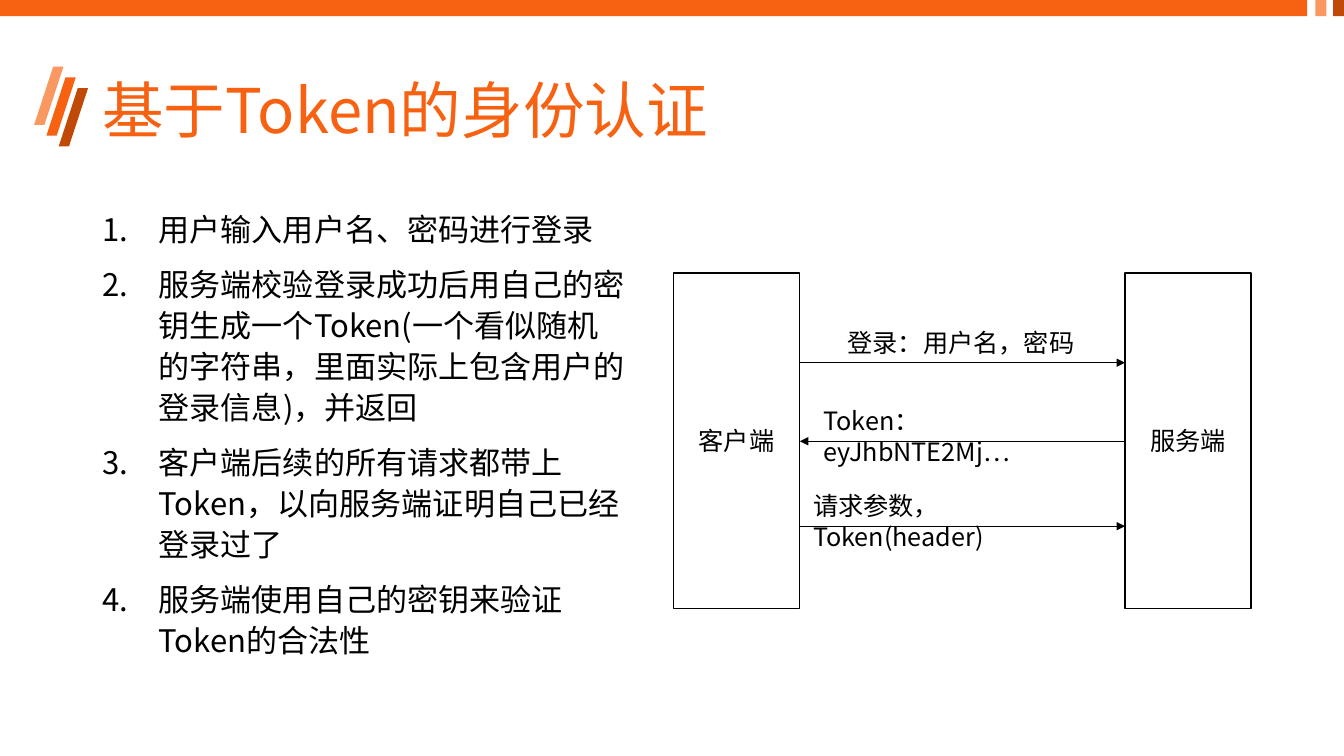
"""Build the slide on token-based identity authentication."""
from dataclasses import dataclass

from lxml import etree
from pptx import Presentation
from pptx.dml.color import RGBColor
from pptx.enum.shapes import MSO_CONNECTOR as Connector
from pptx.enum.shapes import MSO_SHAPE as Preset
from pptx.enum.text import MSO_ANCHOR as Anchor
from pptx.enum.text import PP_ALIGN as Align
from pptx.oxml.ns import qn
from pptx.util import Cm, Pt

FONT = "Noto Sans CJK SC"
ORANGE, LIGHT, DARK = "F76212", "FA9862", "C14907"
BLACK, WHITE = "000000", "FFFFFF"
CLIENT_RIGHT, SERVER_LEFT = 20.16, 28.35


@dataclass(frozen=True)
class Block:
    left: float
    top: float
    width: float
    height: float
    fill: str
    preset: Preset = Preset.RECTANGLE
    text: str = ""
    line: str = ""


@dataclass(frozen=True)
class Message:
    text: str
    start: float
    end: float
    level: float
    left: float
    width: float
    right_inset: float = 0.25
    wrap: bool = True


STRIPES = [
    Block(0.86 + 0.31 * step, 1.68 + 0.27 * step, 0.74, 1.47, fill, Preset.PARALLELOGRAM)
    for step, fill in enumerate((LIGHT, ORANGE, DARK))
]
TOP_BAR = [
    Block(0, 0, 32.94, 0.41, ORANGE),
    Block(33.15, 0, 0.28, 0.41, LIGHT),
    Block(33.6, 0, 0.28, 0.41, DARK),
]
PARTIES = [
    Block(left, 6.88, 3.18, 8.46, WHITE, text=name, line=BLACK)
    for left, name in ((16.97, "客户端"), (SERVER_LEFT, "服务端"))
]
MESSAGES = [
    Message("登录：用户名，密码", CLIENT_RIGHT, SERVER_LEFT, 9.14, 21.11, 6.27, wrap=False),
    Message("Token：eyJhbNTE2Mj…", SERVER_LEFT, CLIENT_RIGHT, 11.12, 20.5, 7.62, 1.5),
    Message("请求参数，Token(header)", CLIENT_RIGHT, SERVER_LEFT, 13.26, 20.24, 8.03, 1.5),
]
STEPS = [
    "用户输入用户名、密码进行登录",
    "服务端校验登录成功后用自己的密钥生成一个Token(一个看似随机的字符串，里面实际上包含用户的登录信息)，并返回",
    "客户端后续的所有请求都带上Token，以向服务端证明自己已经登录过了",
    "服务端使用自己的密钥来验证Token的合法性",
]


def colour(value: str) -> RGBColor:
    """Turn a hex string into a colour."""
    return RGBColor.from_string(value)


def apply(target, values: dict) -> None:
    """Set every named attribute on the target."""
    for name, value in values.items():
        setattr(target, name, value)


def write(para, text: str, size: float, ink: str, **layout) -> None:
    """Put one styled span into a paragraph."""
    apply(para, layout)
    span = para.add_run()
    span.text = text
    apply(span.font, {"name": FONT, "size": Pt(size)})
    span.font.color.rgb = colour(ink)
    etree.SubElement(span.font._element, qn("a:ea"), typeface=FONT)


def add_block(slide, block: Block) -> None:
    """Draw a filled preset shape with optional outline and text."""
    shape = slide.shapes.add_shape(
        block.preset, Cm(block.left), Cm(block.top), Cm(block.width), Cm(block.height)
    )
    shape.shadow.inherit = False
    shape.fill.solid()
    shape.fill.fore_color.rgb = colour(block.fill)
    if block.preset == Preset.PARALLELOGRAM:
        shape.adjustments[0] = 0.65
    if block.line:
        shape.line.color.rgb = colour(block.line)
        shape.line.width = Pt(1)
    else:
        shape.line.fill.background()
    if block.text:
        shape.text_frame.vertical_anchor = Anchor.MIDDLE
        write(shape.text_frame.paragraphs[0], block.text, 18, BLACK, alignment=Align.CENTER)


def add_frame(slide, left: float, top: float, width: float, height: float, **layout):
    """Add a text box and return its text frame."""
    box = slide.shapes.add_textbox(Cm(left), Cm(top), Cm(width), Cm(height))
    apply(box.text_frame, {"word_wrap": True, **layout})
    return box.text_frame


def add_message(slide, message: Message) -> None:
    """Draw an arrow between the parties with its label."""
    level = Cm(message.level)
    arrow = slide.shapes.add_connector(
        Connector.STRAIGHT, Cm(message.start), level, Cm(message.end), level
    )
    arrow.line.color.rgb = colour(BLACK)
    arrow.line.width = Pt(1)
    etree.SubElement(arrow.line._get_or_add_ln(), qn("a:tailEnd"), type="triangle")
    etree.SubElement(arrow._element.spPr, qn("a:effectLst"))
    frame = add_frame(
        slide, message.left, message.level - 1.04, message.width, 1.03,
        word_wrap=message.wrap, margin_right=Cm(message.right_inset),
    )
    write(frame.paragraphs[0], message.text, 18, BLACK, line_spacing=Pt(22))


def add_steps(slide, steps: list[str]) -> None:
    """Write the numbered list of steps."""
    frame = add_frame(slide, 2.33, 5.08, 13.69, 12.09)
    for index, step in enumerate(steps):
        para = frame.add_paragraph() if index else frame.paragraphs[0]
        layout = para._p.get_or_add_pPr()
        layout.set("marL", str(Cm(1.42)))
        layout.set("indent", str(Cm(-1.42)))
        etree.SubElement(layout, qn("a:buFont"), typeface="+mj-lt")
        etree.SubElement(layout, qn("a:buAutoNum"), type="arabicPeriod")
        write(
            para, step, 22.2, BLACK,
            line_spacing=Pt(29.3), space_before=Pt(10 if index else 0),
        )


def main() -> None:
    """Assemble and save the deck."""
    deck = Presentation()
    apply(deck, {"slide_width": Cm(33.87), "slide_height": Cm(19.05)})
    slide = deck.slides.add_slide(deck.slide_layouts[6])
    for block in STRIPES + TOP_BAR + PARTIES:
        add_block(slide, block)
    title = add_frame(slide, 2.33, 1.01, 29.21, 3.68, vertical_anchor=Anchor.MIDDLE)
    write(title.paragraphs[0], "基于Token的身份认证", 44, ORANGE, line_spacing=0.9)
    for message in MESSAGES:
        add_message(slide, message)
    add_steps(slide, STEPS)
    deck.save("out.pptx")


if __name__ == "__main__":
    main()
